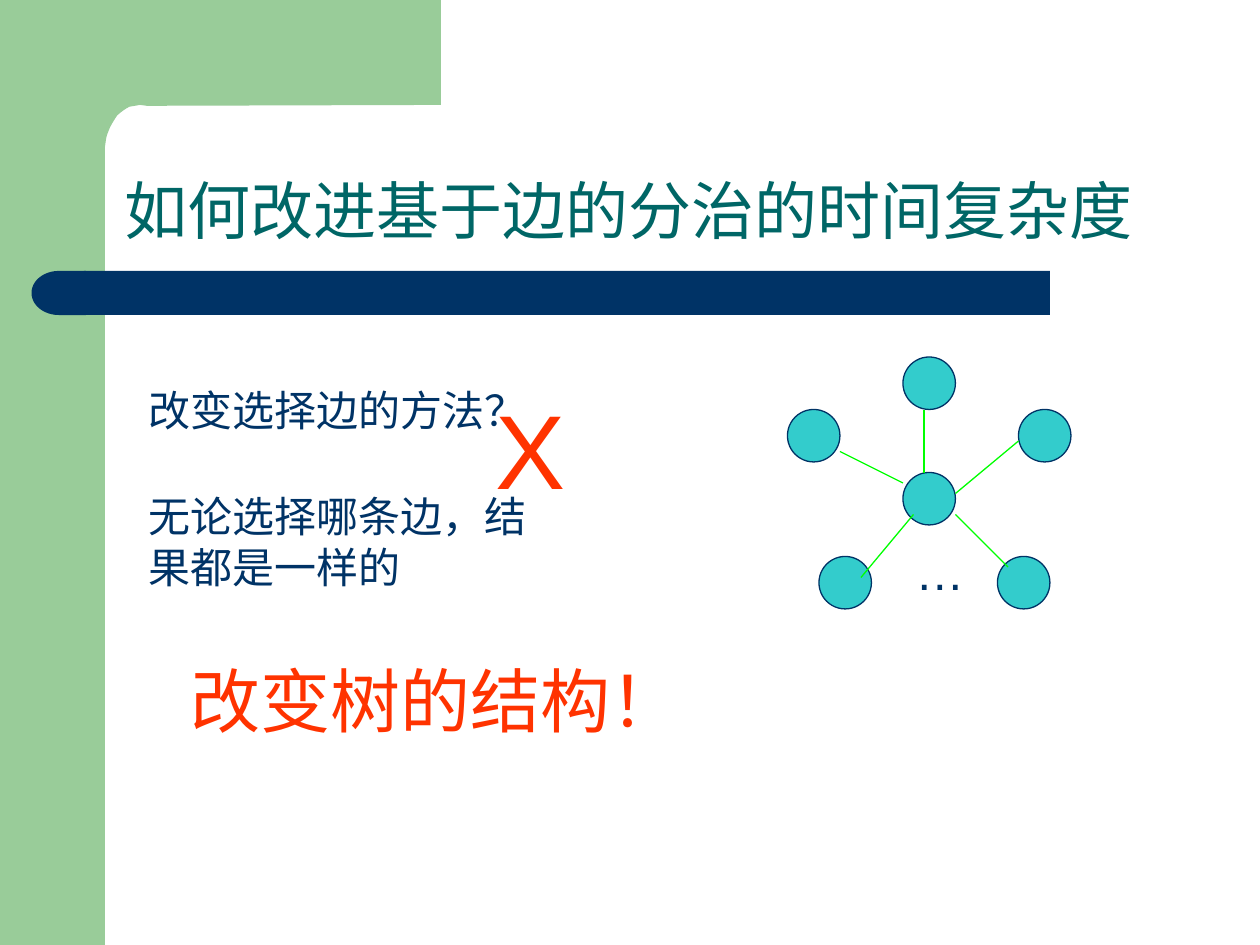
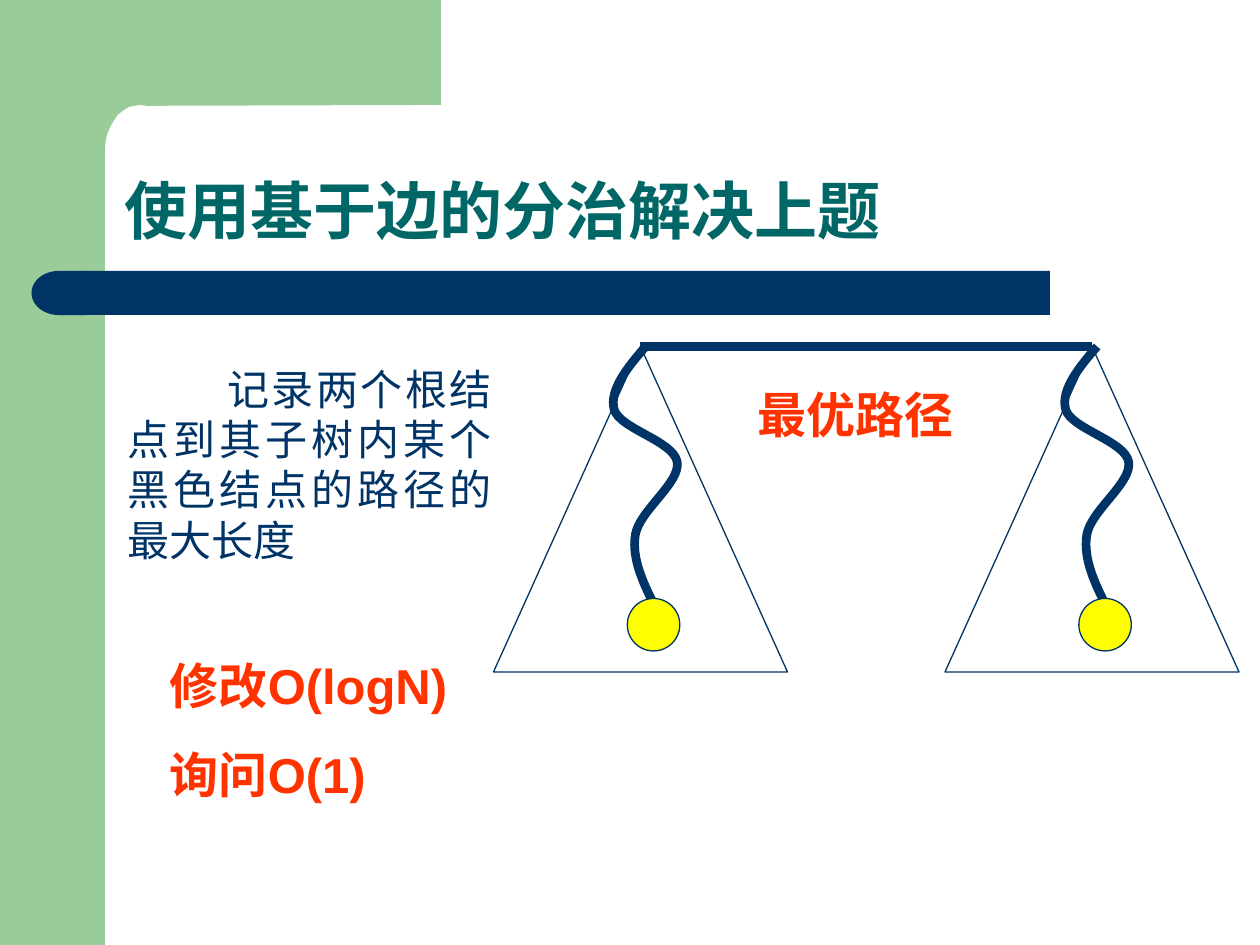
import dataclasses

import lxml.etree
import pptx
import pptx.dml.color
import pptx.enum.dml
import pptx.enum.lang
import pptx.enum.shapes
import pptx.enum.text
import pptx.oxml.ns
import pptx.util

Pt = pptx.util.Pt
qn = pptx.oxml.ns.qn
SHAPE = pptx.enum.shapes.MSO_SHAPE


@dataclasses.dataclass(frozen=True)
class Theme:
    font: str = "Arial"
    green: str = "99CC99"
    navy: str = "003366"
    title: str = "006666"
    alert: str = "FF3300"
    node: str = "33CCCC"
    edge: str = "00FF00"
    leaf: str = "FFFF00"
    title_size: int = 36
    body_size: int = 24
    label_size: int = 28
    shout_size: int = 40
    cross_size: int = 60
    thin: float = 0.75
    thick: float = 5


T = Theme()
WIDTH, HEIGHT = 720, 540

# Corner and path outlines: a start, then segments of one point (line) or three (curve).
CORNER_START = (252, 0)
CORNER = [
    [(252, 60)], [(84, 60.5)], [(80, 60)], [(74, 61)],
    [(72, 62), (69, 64), (67, 66)],
    [(65, 69), (63, 72), (62, 75)],
    [(60.5, 78), (60.5, 81), (60, 84)],
    [(60, 92)], [(36, 92)], [(36, 0)],
]

# Slide 1: a star-shaped tree
EDGE_TITLE = "如何改进基于边的分治的时间复杂度"
EDGE_TEXTS = [  # text, box, size, colour
    ("…", (516, 306, 48, 41), T.label_size, T.navy),
    ("改变选择边的方法？", (78, 216, 360, 36), T.body_size, T.navy),
    ("X", (276, 216, 54, 79), T.cross_size, T.alert),
    ("改变树的结构！", (102, 372, 426, 55), T.shout_size, T.alert),
    ("无论选择哪条边，结果都是一样的", (78, 277, 246, 65), T.body_size, T.navy),
]
NODE_SIZE = 30
NODES = [(516, 270), (450, 234), (516, 204), (582, 234), (468, 318), (570, 318)]
EDGES = [
    ((528, 270), (528, 234)),
    ((516, 276), (480, 258)),
    ((546, 282), (582, 252)),
    ((522, 294), (492, 330)),
    ((546, 294), (576, 324)),
]

# Slide 2: two subtrees joined by the best path
PATH_TITLE = "使用基于边的分治解决上题"
RECORD_TEXT = "记录两个根结点到其子树内某个黑色结点的路径的最大长度"
PATH_LABEL = "最优路径"
COSTS = ["修改O(logN)", "询问O(1)"]
SUBTREE = (282, 198, 168, 186)
SUBTREE_STEP = 258
ROOT = (366, 198)
LEAF = (358.5, 342)
WIGGLE_START = (369, 198)
WIGGLE = [
    [(358.5, 210), (348, 223), (351, 234)],
    [(354, 245), (385, 252), (387, 264)],
    [(389, 276), (365, 292), (363, 306)],
    [(361, 320), (368, 334), (375, 348)],
]


def rgb(color):
    return pptx.dml.color.RGBColor.from_string(color)


def style(sp, fill=None, line=None, weight=T.thin):
    sp.shadow.inherit = False
    if fill:
        sp.fill.solid()
        sp.fill.fore_color.rgb = rgb(fill)
    else:
        sp.fill.background()
    if line:
        sp.line.color.rgb = rgb(line)
        sp.line.width = Pt(weight)
    else:
        sp.line.fill.background()
    return sp


def add_shape(slide, kind, box, **look):
    return style(slide.shapes.add_shape(kind, *map(Pt, box)), **look)


def add_outline(slide, start, segments, dx=0, close=False, **look):
    """Draw a freeform whose three-point segments become Bezier curves."""
    def to_emu(point):
        return Pt(point[0] + dx), Pt(point[1])

    builder = slide.shapes.build_freeform(*to_emu(start))
    builder.add_line_segments([to_emu(p) for seg in segments for p in seg], close=close)
    sp = builder.convert_to_shape()
    lines = iter(list(sp._element.iter(qn("a:lnTo"))))
    for seg in segments:
        parts = [next(lines) for _ in seg]
        if len(parts) == 3:
            curve = lxml.etree.Element(qn("a:cubicBezTo"))
            parts[0].addprevious(curve)
            for part in parts:
                curve.append(part[0])
                part.getparent().remove(part)
    return style(sp, **look)


def add_line(slide, start, end, color, weight=T.thin):
    cx = slide.shapes.add_connector(
        pptx.enum.shapes.MSO_CONNECTOR.STRAIGHT, *map(Pt, start + end))
    cx.line.color.rgb = rgb(color)
    cx.line.width = Pt(weight)
    lxml.etree.SubElement(cx._element.spPr, qn("a:effectLst"))


def add_text(slide, lines, box, size, color, bold=False, grow=True):
    tf = slide.shapes.add_textbox(*map(Pt, box)).text_frame
    tf.word_wrap = True
    if grow:
        tf.auto_size = pptx.enum.text.MSO_AUTO_SIZE.SHAPE_TO_FIT_TEXT
    for i, line in enumerate(lines):
        p = tf.add_paragraph() if i else tf.paragraphs[0]
        if grow:
            p.space_before = Pt(size * 0.625)
        r = p.add_run()
        r.text = line
        r.font.name = T.font
        r.font.size = Pt(size)
        r.font.bold = bold
        r.font.color.rgb = rgb(color)
        r.font.language_id = pptx.enum.lang.MSO_LANGUAGE_ID.SIMPLIFIED_CHINESE
    return tf


def add_framed_slide(prs, title, bold=False):
    slide = prs.slides.add_slide(prs.slide_layouts[6])
    add_shape(slide, SHAPE.RECTANGLE, (0, 0, 60, HEIGHT), fill=T.green)
    add_outline(slide, CORNER_START, CORNER, close=True, fill=T.green)
    add_shape(slide, SHAPE.RECTANGLE, (48, 154.8, 552, 25.2), fill=T.navy)
    cap = add_shape(slide, SHAPE.FLOWCHART_DELAY, (18, 154.8, 31, 25.2), fill=T.navy)
    cap.rotation = 180
    tf = add_text(slide, [title], (64, 64, 615, 81.5), T.title_size, T.title, bold, grow=False)
    tf.vertical_anchor = pptx.enum.text.MSO_ANCHOR.BOTTOM
    tf.paragraphs[0].line_spacing = 0.9
    return slide


def build_star_slide(prs):
    slide = add_framed_slide(prs, EDGE_TITLE)
    for node in NODES:
        add_shape(slide, SHAPE.OVAL, node + (NODE_SIZE, NODE_SIZE), fill=T.node, line=T.navy)
    for start, end in EDGES:
        add_line(slide, start, end, T.edge)
    for text, box, size, color in EDGE_TEXTS:
        add_text(slide, [text], box, size, color)


def build_path_slide(prs):
    slide = add_framed_slide(prs, PATH_TITLE, bold=True)
    x, y, w, h = SUBTREE
    offsets = (0, SUBTREE_STEP)
    for dx in offsets:
        add_shape(slide, SHAPE.ISOSCELES_TRIANGLE, (x + dx, y, w, h), line=T.navy)

    tf = add_text(slide, [RECORD_TEXT], (66, 204, 222, 166), T.body_size, T.navy)
    p = tf.paragraphs[0]
    p.alignment = pptx.enum.text.PP_ALIGN.JUSTIFY
    p._p.get_or_add_pPr().set("indent", str(Pt(57)))
    add_text(slide, [PATH_LABEL], (426, 216, 222, 41), T.label_size, T.alert, bold=True)
    add_text(slide, COSTS, (90, 371, 192, 92), T.label_size, T.alert, bold=True)

    for dx in offsets:
        add_outline(slide, WIGGLE_START, WIGGLE, dx, line=T.navy, weight=T.thick)
        add_shape(slide, SHAPE.OVAL, (LEAF[0] + dx, LEAF[1], NODE_SIZE, NODE_SIZE),
                  fill=T.leaf, line=T.navy)
    add_line(slide, ROOT, (ROOT[0] + SUBTREE_STEP, ROOT[1]), T.navy, T.thick)


def main():
    prs = pptx.Presentation()
    prs.slide_width, prs.slide_height = Pt(WIDTH), Pt(HEIGHT)
    build_star_slide(prs)
    build_path_slide(prs)
    prs.save("out.pptx")


if __name__ == "__main__":
    main()
